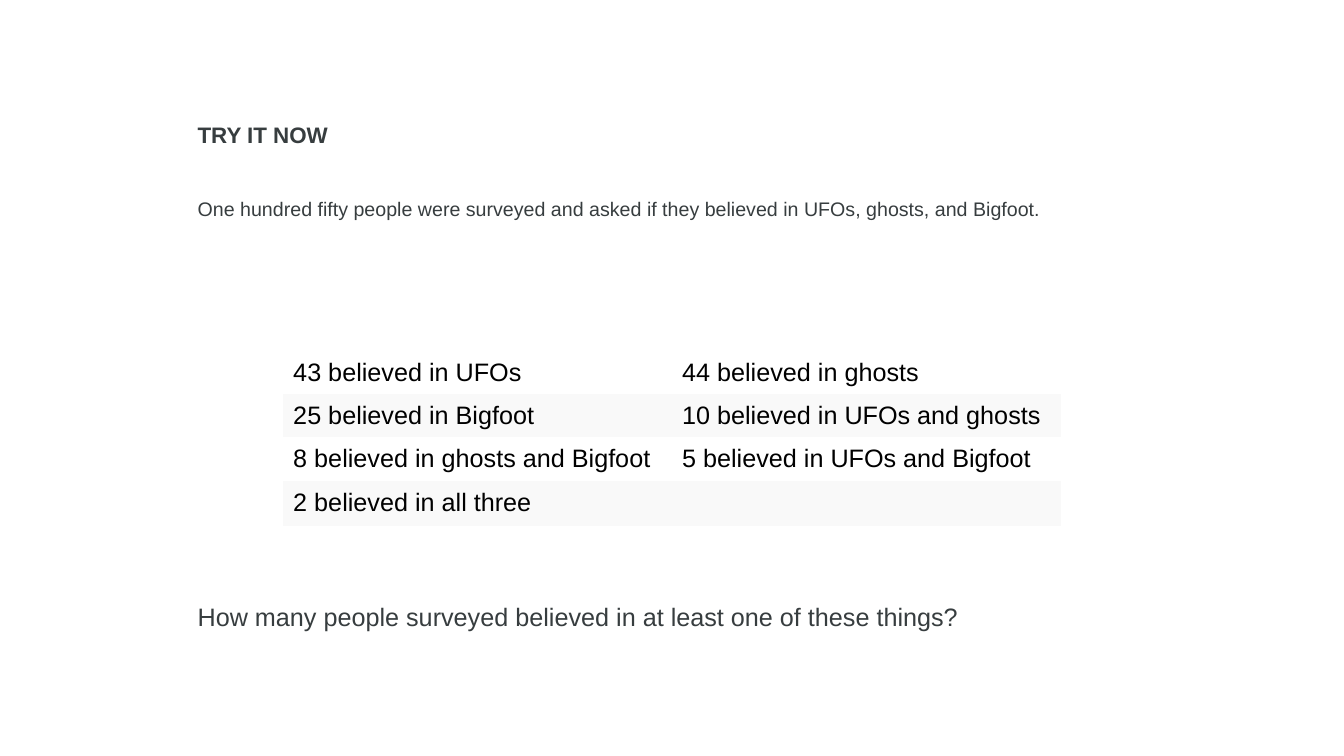
from pptx import Presentation
from pptx.dml.color import RGBColor
from pptx.enum.text import MSO_ANCHOR, MSO_AUTO_SIZE, PP_ALIGN
from pptx.oxml.ns import qn
from pptx.util import Cm, Pt

FONT = "Arial"
COLORS = {"ink": "373D3F", "cell": "000000", "plain": "FFFFFF", "band": "F9F9F9"}
NO_GRID_STYLE = "{2D5ABB26-0587-4C30-8999-92F81FD0307C}"
FINDINGS = [
    ["43 believed in UFOs", "44 believed in ghosts"],
    ["25 believed in Bigfoot", "10 believed in UFOs and ghosts"],
    ["8 believed in ghosts and Bigfoot", "5 believed in UFOs and Bigfoot"],
    ["2 believed in all three", ""],
]


def write(p, text, size=18, color="ink", bold=False, before=0):
    p.alignment = PP_ALIGN.LEFT
    p.space_before = before
    r = p.add_run()
    r.text = text
    r.font.name = FONT
    r.font.size = Pt(size)
    r.font.bold = bold
    r.font.color.rgb = RGBColor.from_string(COLORS[color])


def place(sp, left, top, width, height):
    sp.left, sp.top, sp.width, sp.height = Cm(left), Cm(top), Cm(width), Cm(height)
    tf = sp.text_frame
    tf.margin_left = tf.margin_top = tf.margin_right = tf.margin_bottom = 0
    tf.vertical_anchor = MSO_ANCHOR.TOP
    tf.auto_size = MSO_AUTO_SIZE.NONE
    tf.word_wrap = True
    return tf


def add_heading(s, left, top, width, height):
    tf = place(s.shapes.title, left, top, width, height)
    write(tf.paragraphs[0], "TRY IT NOW", size=16, bold=True)


def add_problem(s, left, top, width, height):
    tf = place(s.placeholders[1], left, top, width, height)
    write(tf.paragraphs[0], "One hundred fifty people were surveyed and asked "
          "if they believed in UFOs, ghosts, and Bigfoot.", size=14)
    write(tf.add_paragraph(), "How many people surveyed believed in at least "
          "one of these things?", before=Cm(9.58))
    for p in tf.paragraphs:
        pPr = p._p.get_or_add_pPr()
        pPr.set("marL", "0")
        pPr.set("indent", "0")
        pPr.append(pPr.makeelement(qn("a:buNone"), {}))


def add_findings(s, left, top, width, height):
    frame = s.shapes.add_table(len(FINDINGS), len(FINDINGS[0]),
                               Cm(left), Cm(top), Cm(width), Cm(height))
    frame._element.find(".//" + qn("a:tableStyleId")).text = NO_GRID_STYLE
    table = frame.table
    table.first_row = table.horz_banding = False
    for i, row in enumerate(FINDINGS):
        for j, text in enumerate(row):
            cell = table.cell(i, j)
            cell.margin_left = cell.margin_right = Cm(0.25)
            cell.margin_top = cell.margin_bottom = Cm(0.18)
            cell.vertical_anchor = MSO_ANCHOR.MIDDLE
            cell.fill.solid()
            fill = COLORS["band" if i % 2 else "plain"]
            cell.fill.fore_color.rgb = RGBColor.from_string(fill)
            if text:
                write(cell.text_frame.paragraphs[0], text, color="cell")


def main():
    prs = Presentation()
    prs.slide_width, prs.slide_height = Cm(33.87), Cm(19.05)
    s = prs.slides.add_slide(prs.slide_layouts[1])
    add_heading(s, 4.98, 3.04, 25.27, 0.7)
    add_problem(s, 4.98, 4.97, 25.27, 11.4)
    add_findings(s, 7.14, 8.84, 19.6, 4.36)
    prs.save("out.pptx")


if __name__ == "__main__":
    main()
